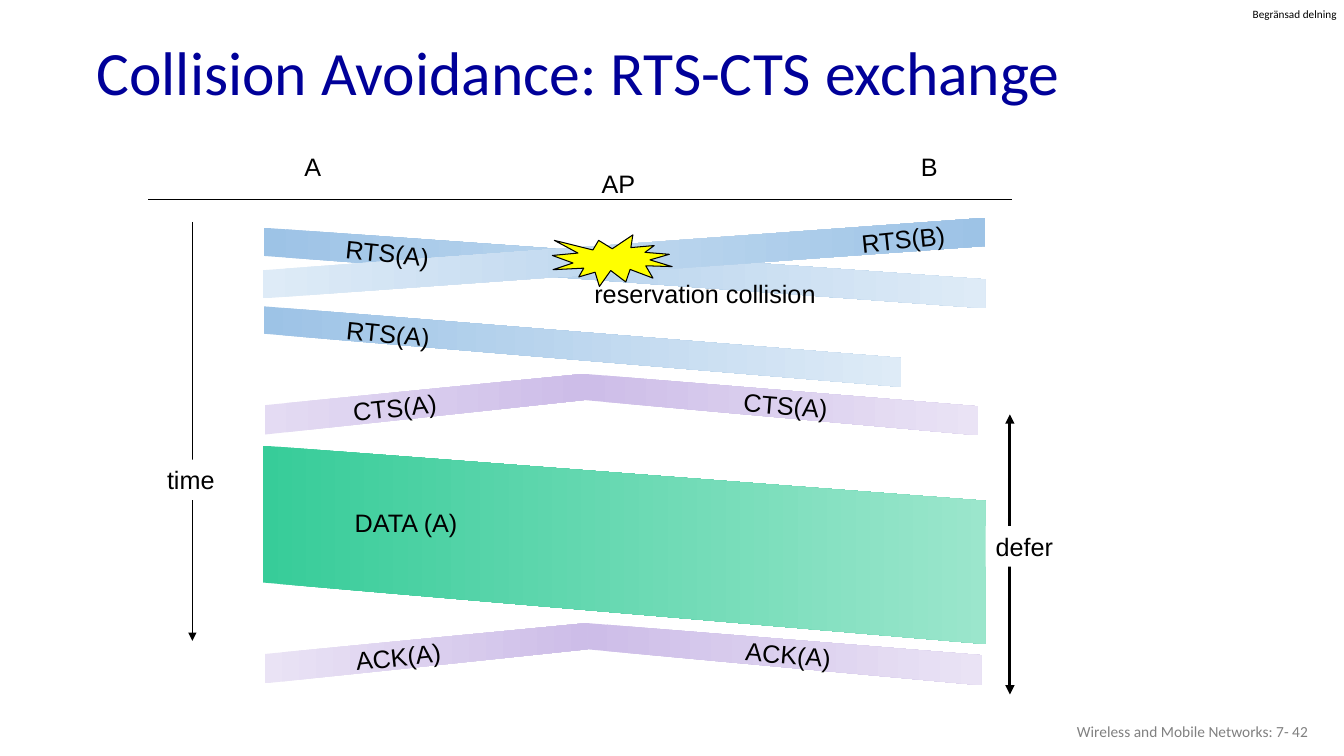
from dataclasses import dataclass

import lxml.etree
import pptx
import pptx.dml.color
import pptx.enum.shapes
import pptx.enum.text
import pptx.oxml.ns
import pptx.presentation
import pptx.shapes.autoshape
import pptx.slide
import pptx.text.text
import pptx.util

Cm = pptx.util.Cm
RGBColor = pptx.dml.color.RGBColor
Align = pptx.enum.text.PP_ALIGN
Anchor = pptx.enum.text.MSO_ANCHOR

BLACK = RGBColor(0x00, 0x00, 0x00)
WHITE = RGBColor(0xFF, 0xFF, 0xFF)
NAVY = RGBColor(0x00, 0x00, 0x99)
GREY = RGBColor(0x80, 0x80, 0x80)
YELLOW = RGBColor(0xFF, 0xFF, 0x00)
BLUE = RGBColor(0x9D, 0xC3, 0xE6)
PALE_BLUE = RGBColor(0xDE, 0xEB, 0xF7)
PURPLE = RGBColor(0xCD, 0xBD, 0xE8)
LIGHT_PURPLE = RGBColor(0xE4, 0xDB, 0xF3)
PALE_PURPLE = RGBColor(0xEA, 0xE3, 0xF5)
GREEN = RGBColor(0x37, 0xCC, 0x99)
PALE_GREEN = RGBColor(0x9B, 0xE6, 0xCC)

LABEL_HEIGHT = 1.02
FALLING = 5.9
RISING = -6.3
GENTLE = 4.6


@dataclass(frozen=True)
class Band:
    left: float
    right: float
    left_top: float
    left_bottom: float
    right_top: float
    right_bottom: float
    left_color: RGBColor
    right_color: RGBColor


@dataclass(frozen=True)
class Label:
    text: str
    left: float
    top: float
    width: float
    rotation: float = 0
    wraps: bool = False
    fill: RGBColor | None = None


@dataclass(frozen=True)
class Line:
    start: tuple[float, float]
    end: tuple[float, float]
    weight: float
    arrows: tuple[str, ...] = ()


BANDS = [
    Band(6.65, 24.84, 5.74, 6.45, 7.04, 7.77, BLUE, PALE_BLUE),
    Band(6.63, 24.83, 6.81, 7.52, 5.49, 6.2, PALE_BLUE, BLUE),
    Band(6.65, 22.71, 7.72, 8.41, 9.02, 9.75, BLUE, PALE_BLUE),
    Band(14.71, 24.66, 9.42, 10.08, 10.24, 10.97, PURPLE, PALE_PURPLE),
    Band(6.68, 14.73, 10.21, 10.95, 9.42, 10.08, LIGHT_PURPLE, PURPLE),
    Band(6.63, 24.84, 11.23, 14.68, 12.62, 16.23, GREEN, PALE_GREEN),
    Band(14.78, 24.74, 15.7, 16.36, 16.51, 17.27, PURPLE, PALE_PURPLE),
    Band(6.68, 14.81, 16.48, 17.22, 15.7, 16.36, PALE_PURPLE, PURPLE),
]

LINES = [
    Line((3.73, 5.03), (25.5, 5.03), 0.75),
    Line((25.45, 10.44), (25.45, 17.5), 2.25, ("headEnd", "tailEnd")),
    Line((4.85, 5.59), (4.85, 16.15), 1.25, ("tailEnd",)),
]

LABELS = [
    Label("AP", 14.91, 4.11, 1.37),
    Label("A", 7.42, 3.68, 0.97),
    Label("B", 22.96, 3.68, 0.94),
    Label("RTS(A)", 8.46, 5.87, 2.72, FALLING),
    Label("RTS(B)", 21.46, 5.51, 2.64, -FALLING),
    Label("RTS(A)", 8.48, 7.9, 2.72, FALLING),
    Label("CTS(A)", 8.64, 9.75, 2.69, RISING),
    Label("CTS(A)", 18.49, 9.7, 2.69, GENTLE),
    Label("DATA (A)", 8.69, 12.65, 5, wraps=True),
    Label("ACK(A)", 8.71, 16.03, 2.67, RISING),
    Label("ACK(A)", 18.54, 15.98, 2.67, GENTLE),
    Label("reservation collision", 14.73, 6.88, 7.85, wraps=True),
    Label("defer", 24.84, 13.26, 1.98, fill=WHITE),
    Label("time", 3.96, 11.58, 1.73, fill=WHITE),
]


def write_text(frame: pptx.text.text.TextFrame, text: str, font: str, size: float,
               color: RGBColor, align: Align = Align.LEFT) -> None:
    paragraph = frame.paragraphs[0]
    paragraph.text = text
    paragraph.alignment = align
    paragraph.font.name = font
    paragraph.font.size = pptx.util.Pt(size)
    paragraph.font.color.rgb = color


def draw_title(page: pptx.slide.Slide) -> None:
    title = page.shapes.title
    title.left, title.top, title.width, title.height = Cm(2.18), Cm(0.66), Cm(29.21), Cm(2.49)
    title.text_frame.vertical_anchor = Anchor.MIDDLE
    write_text(title.text_frame, "Collision Avoidance: RTS-CTS exchange", "Calibri", 44, NAVY)
    title.text_frame.paragraphs[0].line_spacing = 0.9


def draw_margin_texts(page: pptx.slide.Slide) -> None:
    marking = page.shapes.add_textbox(Cm(31.57), Cm(0.18), Cm(2.18), Cm(0.33)).text_frame
    marking.margin_left = marking.margin_right = marking.margin_top = marking.margin_bottom = 0
    marking.word_wrap = False
    write_text(marking, "Begränsad delning", "Calibri", 8, BLACK)
    footer = page.shapes.add_textbox(Cm(25.6), Cm(17.91), Cm(7.62), Cm(1.02)).text_frame
    footer.word_wrap = True
    footer.vertical_anchor = Anchor.MIDDLE
    write_text(footer, "Wireless and Mobile Networks: 7- 42", "Calibri", 11, GREY, Align.RIGHT)


def draw_band(page: pptx.slide.Slide, band: Band) -> None:
    outline = page.shapes.build_freeform(Cm(band.left), Cm(band.left_top))
    outline.add_line_segments([
        (Cm(band.right), Cm(band.right_top)),
        (Cm(band.right), Cm(band.right_bottom)),
        (Cm(band.left), Cm(band.left_bottom)),
    ], close=True)
    shape = outline.convert_to_shape()
    shape.shadow.inherit = False
    shape.line.fill.background()
    shape.fill.gradient()
    shape.fill.gradient_angle = 0
    for stop, color, position in zip(shape.fill.gradient_stops,
                                     (band.left_color, band.right_color), (0, 1)):
        stop.color.rgb = color
        stop.position = position


def draw_collision(page: pptx.slide.Slide) -> None:
    burst = page.shapes.add_shape(pptx.enum.shapes.MSO_SHAPE.EXPLOSION1,
                                  Cm(13.92), Cm(5.92), Cm(3.02), Cm(1.3))
    burst.shadow.inherit = False
    burst.fill.solid()
    burst.fill.fore_color.rgb = YELLOW
    burst.line.color.rgb = BLACK
    burst.line.width = pptx.util.Pt(0.75)


def draw_line(page: pptx.slide.Slide, line: Line) -> None:
    connector = page.shapes.add_connector(pptx.enum.shapes.MSO_CONNECTOR.STRAIGHT,
                                          *map(Cm, line.start + line.end))
    connector.line.color.rgb = BLACK
    connector.line.width = pptx.util.Pt(line.weight)
    properties = connector._element.spPr
    outline = properties.find(pptx.oxml.ns.qn("a:ln"))
    for arrow in line.arrows:
        lxml.etree.SubElement(outline, pptx.oxml.ns.qn(f"a:{arrow}"), type="triangle")
    lxml.etree.SubElement(properties, pptx.oxml.ns.qn("a:effectLst"))


def draw_label(page: pptx.slide.Slide, label: Label) -> None:
    box = page.shapes.add_textbox(Cm(label.left), Cm(label.top), Cm(label.width), Cm(LABEL_HEIGHT))
    box.rotation = label.rotation
    box.text_frame.word_wrap = label.wraps
    box.text_frame.auto_size = pptx.enum.text.MSO_AUTO_SIZE.SHAPE_TO_FIT_TEXT
    if label.fill is not None:
        box.fill.solid()
        box.fill.fore_color.rgb = label.fill
    write_text(box.text_frame, label.text, "Arial", 18, BLACK)


def main() -> None:
    deck = pptx.Presentation()
    deck.slide_width, deck.slide_height = Cm(33.87), Cm(19.05)
    page = deck.slides.add_slide(deck.slide_layouts[5])
    draw_title(page)
    draw_margin_texts(page)
    for band in BANDS:
        draw_band(page, band)
    draw_collision(page)
    for line in LINES:
        draw_line(page, line)
    for label in LABELS:
        draw_label(page, label)
    deck.save("out.pptx")


if __name__ == "__main__":
    main()
